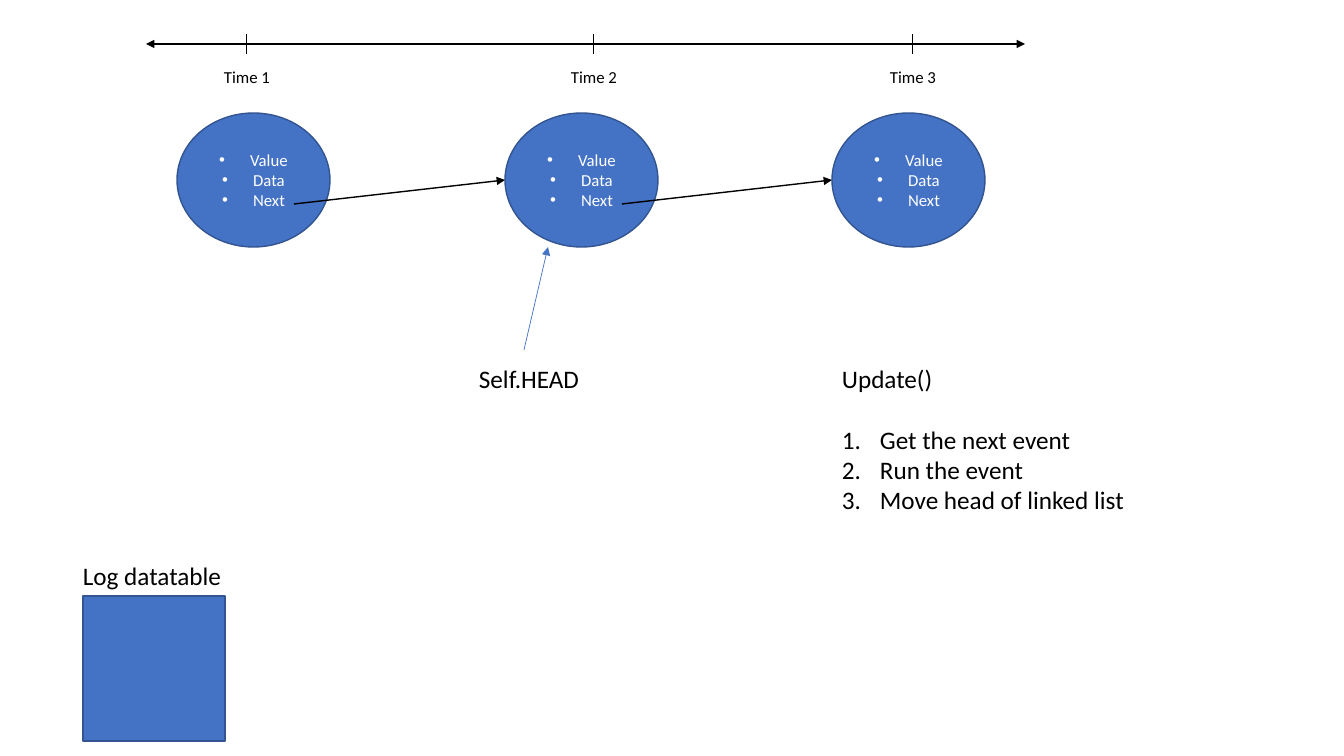
from lxml.etree import SubElement
from pptx import Presentation
from pptx.dml.color import RGBColor
from pptx.enum.shapes import MSO_CONNECTOR, MSO_SHAPE
from pptx.enum.text import MSO_ANCHOR, MSO_AUTO_SIZE, PP_ALIGN
from pptx.oxml.ns import qn
from pptx.util import Pt

# Content
NODE_FIELDS = ["Value", "Data", "Next"]
NODE_LEFTS = [177, 505, 832]
TIME_MARKS = [("Time 1", 246), ("Time 2", 593), ("Time 3", 912)]
HEAD_LABEL = "Self.HEAD"
LOG_LABEL = "Log datatable"
UPDATE_TITLE = "Update()"
UPDATE_STEPS = ["Get the next event", "Run the event", "Move head of linked list"]

# Layout in pixels
SLIDE_WIDTH, SLIDE_HEIGHT = 1344, 756
NODE_TOP, NODE_WIDTH, NODE_HEIGHT = 113, 153, 134
AXIS_Y, AXIS_LEFT, AXIS_RIGHT, TICK_HALF = 44, 146, 1025, 10
BULLET_INDENT, NUMBER_INDENT = 31, 38

# Style
FONT = "Calibri"
BLUE, OUTLINE, BLACK, WHITE = "4472C4", "325491", "000000", "FFFFFF"
SMALL, LARGE = 12, 18


def px(value):
    return round(value * 914400 / 100.8)


def color(code):
    return RGBColor.from_string(code)


presentation = Presentation()
presentation.slide_width = px(SLIDE_WIDTH)
presentation.slide_height = px(SLIDE_HEIGHT)
slide = presentation.slides.add_slide(presentation.slide_layouts[6])


def write(paragraph, text, size, code=BLACK):
    run = paragraph.add_run()
    run.text = text
    run.font.name = FONT
    run.font.size = Pt(size)
    run.font.color.rgb = color(code)


def add_marker(paragraph, indent, tag, **attributes):
    properties = paragraph._p.get_or_add_pPr()
    properties.set("marL", str(px(indent)))
    properties.set("indent", str(-px(indent)))
    if tag == "a:buChar":
        SubElement(properties, qn("a:buFont"), typeface="Arial")
    SubElement(properties, qn(tag), **attributes)


def add_solid(kind, left, top, width, height):
    shape = slide.shapes.add_shape(kind, px(left), px(top), px(width), px(height))
    shape.shadow.inherit = False
    shape.fill.solid()
    shape.fill.fore_color.rgb = color(BLUE)
    shape.line.color.rgb = color(OUTLINE)
    shape.line.width = Pt(1)
    return shape


def add_label(text, left, top, width, height, size, wrap=True):
    box = slide.shapes.add_textbox(px(left), px(top), px(width), px(height))
    frame = box.text_frame
    frame.word_wrap = wrap
    frame.auto_size = MSO_AUTO_SIZE.SHAPE_TO_FIT_TEXT
    write(frame.paragraphs[0], text, size)
    return frame


def add_line(start, end, width, code=BLACK, arrows=()):
    points = [px(value) for value in (*start, *end)]
    connector = slide.shapes.add_connector(MSO_CONNECTOR.STRAIGHT, *points)
    connector.line.color.rgb = color(code)
    connector.line.width = Pt(width)
    for arrow in arrows:
        SubElement(connector.line._get_or_add_ln(), qn(arrow), type="triangle")
    SubElement(connector._element.spPr, qn("a:effectLst"))


# Linked list nodes
for left in NODE_LEFTS:
    node = add_solid(MSO_SHAPE.OVAL, left, NODE_TOP, NODE_WIDTH, NODE_HEIGHT)
    frame = node.text_frame
    frame.word_wrap = True
    frame.vertical_anchor = MSO_ANCHOR.MIDDLE
    for index, field in enumerate(NODE_FIELDS):
        paragraph = frame.add_paragraph() if index else frame.paragraphs[0]
        paragraph.alignment = PP_ALIGN.CENTER
        add_marker(paragraph, BULLET_INDENT, "a:buChar", char="•")
        write(paragraph, field, SMALL, WHITE)

# Arrows from each node to the next
node_middle = NODE_TOP + NODE_HEIGHT / 2
for left, next_left in zip(NODE_LEFTS, NODE_LEFTS[1:]):
    add_line((left + 117, 204), (next_left, node_middle), 1, arrows=["a:tailEnd"])

# Head pointer
add_label(HEAD_LABEL, 469, 358, 134, 40, LARGE)
add_line((524, 350), (548, 247), 0.5, BLUE, ["a:tailEnd"])

# Log table
add_solid(MSO_SHAPE.RECTANGLE, 83, 596, 142, 145)
add_label(LOG_LABEL, 73, 555, 160, 40, LARGE, wrap=False)

# Update steps
update = add_label(UPDATE_TITLE, 832, 358, 397, 163, LARGE)
for index, step in enumerate(UPDATE_STEPS):
    paragraph = update.add_paragraph()
    if index == 0:
        paragraph.space_before = Pt(22)
    add_marker(paragraph, NUMBER_INDENT, "a:buAutoNum", type="arabicPeriod")
    write(paragraph, step, LARGE)

# Timeline
add_line((AXIS_LEFT, AXIS_Y), (AXIS_RIGHT, AXIS_Y), 1, arrows=["a:headEnd", "a:tailEnd"])
for label, x in TIME_MARKS:
    add_line((x, AXIS_Y - TICK_HALF), (x, AXIS_Y + TICK_HALF), 0.5)
    add_label(label, x - 32, 62, 73, 30, SMALL)

presentation.save("out.pptx")
